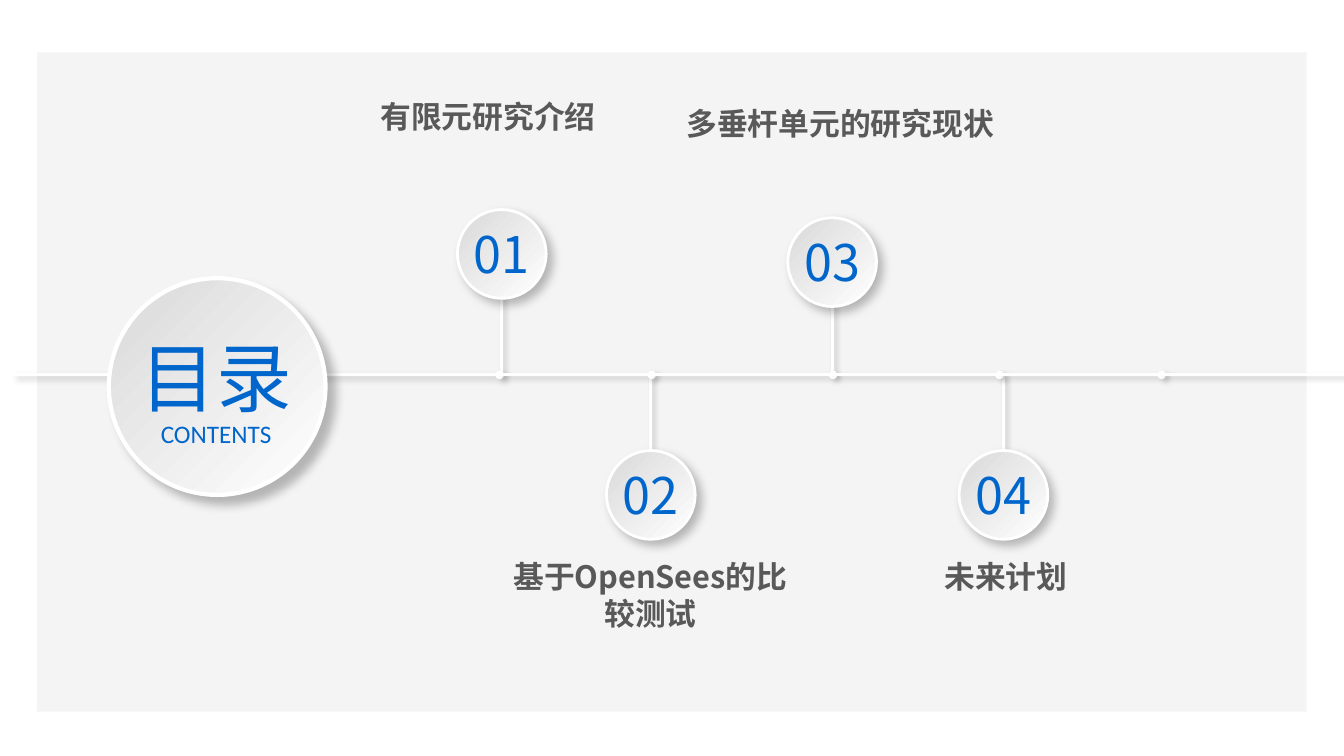
import pptx
import pptx.dml.color
import pptx.enum.shapes
import pptx.enum.text
import pptx.oxml
import pptx.oxml.ns
import pptx.util

Pt = pptx.util.Pt
RGBColor = pptx.dml.color.RGBColor
SHAPE = pptx.enum.shapes.MSO_SHAPE

WHITE = RGBColor(0xFF, 0xFF, 0xFF)
PANEL = RGBColor(0xF2, 0xF2, 0xF2)
SILVER = RGBColor(0xD9, 0xD9, 0xD9)
BLUE = RGBColor(0x00, 0x66, 0xCC)
GREY = RGBColor(0x59, 0x59, 0x59)

CJK = "Noto Sans CJK SC"
NUMBER = {"size": Pt(36), "name": CJK}
TITLE = {"size": Pt(54), "name": CJK}
SUBTITLE = {"size": Pt(18), "name": "Calibri"}
LABEL = {"size": Pt(22), "name": CJK, "bold": True}

# Shadows: opacity in percent, blur, distance
LINE_SHADOW = (20, 4, 3)
BADGE_SHADOW = (25, 7, 5)
HUB_SHADOW = (25, 7, 8)

SLIDE_W, SLIDE_H = 960.48, 540
AXIS_Y = 267.8
AXIS_STOPS = [9.4, 357.1, 465.8, 595.4, 714.2, 830.2, SLIDE_W]
BADGE = 63.4

# Number, badge centre, label, label box
TOPICS = [
    ("01", 358.6, 181.4, "有限元研究介绍", (253.4, 66.2, 190.8, 33.8)),
    ("02", 465.1, 353.5, "基于OpenSees的比较测试", (358.6, 394.6, 212.4, 60.5)),
    ("03", 594.7, 187.2, "多垂杆单元的研究现状", (476.6, 71.3, 247.7, 33.8)),
    ("04", 717.1, 353.5, "未来计划", (605.5, 394.6, 226.8, 33.8)),
]


class Deck:
    def __init__(self, prs):
        self.s = prs.slides.add_slide(prs.slide_layouts[6])

    def xml(self, parent, text):
        ns = pptx.oxml.ns.nsdecls("a")
        parent.append(pptx.oxml.parse_xml(text.replace("/>", f" {ns}/>", 1)
                                          if text.endswith("/>") and text.count("<") == 1
                                          else text.replace(">", f" {ns}>", 1)))

    def shadow(self, sp, opacity, blur, distance):
        """Cast an outer shadow down and to the right."""
        self.xml(sp._element.spPr, (
            f'<a:effectLst><a:outerShdw blurRad="{Pt(blur)}" dist="{Pt(distance)}" '
            f'dir="2700000" algn="tl" rotWithShape="0"><a:srgbClr val="000000">'
            f'<a:alpha val="{opacity * 1000}"/></a:srgbClr></a:outerShdw></a:effectLst>'))

    def panel(self, x, y, w, h, opacity):
        sp = self.s.shapes.add_shape(SHAPE.RECTANGLE, Pt(x), Pt(y), Pt(w), Pt(h))
        sp.shadow.inherit = False
        sp.fill.solid()
        sp.fill.fore_color.rgb = PANEL
        sp.line.fill.background()
        color = sp._element.spPr.xpath("./a:solidFill/a:srgbClr")[0]
        self.xml(color, f'<a:alpha val="{opacity * 1000}"/>')

    def line(self, x1, y1, x2, y2, dot=False):
        kind = pptx.enum.shapes.MSO_CONNECTOR.STRAIGHT
        sp = self.s.shapes.add_connector(kind, Pt(x1), Pt(y1), Pt(x2), Pt(y2))
        sp.line.color.rgb = WHITE
        sp.line.width = Pt(2)
        if dot:
            self.xml(sp.line._get_or_add_ln(), '<a:tailEnd type="oval"/>')
        self.shadow(sp, *LINE_SHADOW)

    def disc(self, cx, cy, d, border, shadow):
        sp = self.s.shapes.add_shape(SHAPE.OVAL, Pt(cx - d / 2), Pt(cy - d / 2), Pt(d), Pt(d))
        sp.fill.gradient()
        sp.fill.gradient_angle = 315
        for stop, color, position in zip(sp.fill.gradient_stops, (SILVER, WHITE), (0, 1)):
            stop.color.rgb = color
            stop.position = position
        sp.line.color.rgb = WHITE
        sp.line.width = Pt(border)
        self.shadow(sp, *shadow)

    def text(self, text, x, y, w, h, font, color):
        sp = self.s.shapes.add_textbox(Pt(x), Pt(y), Pt(w), Pt(h))
        tf = sp.text_frame
        tf.word_wrap = True
        tf.auto_size = pptx.enum.text.MSO_AUTO_SIZE.SHAPE_TO_FIT_TEXT
        p = tf.paragraphs[0]
        p.alignment = pptx.enum.text.PP_ALIGN.CENTER
        r = p.add_run()
        r.text = text
        for key, value in font.items():
            setattr(r.font, key, value)
        r.font.color.rgb = color
        self.xml(r._r.get_or_add_rPr(), f'<a:ea typeface="{font["name"]}"/>')


def main():
    prs = pptx.Presentation()
    prs.slide_width, prs.slide_height = Pt(SLIDE_W), Pt(SLIDE_H)
    deck = Deck(prs)

    deck.panel(26.6, 37.4, 907.2, 470.9, 78)
    for _, cx, cy, _, _ in TOPICS:
        deck.line(cx, AXIS_Y, cx, cy)
    for start, end in zip(AXIS_STOPS, AXIS_STOPS[1:]):
        deck.line(start, AXIS_Y, end, AXIS_Y, dot=end < SLIDE_W)

    deck.disc(155.2, 276.1, 154.8, 3, HUB_SHADOW)
    deck.text("目录", 84.2, 232.6, 140.4, 72.7, TITLE, BLUE)
    deck.text("CONTENTS", 100.1, 295.2, 108.7, 28.8, SUBTITLE, BLUE)

    for number, cx, cy, label, box in TOPICS:
        deck.disc(cx, cy, BADGE, 2, BADGE_SHADOW)
        deck.text(number, cx - 28.8, cy - 25.5, 57.6, 51, NUMBER, BLUE)
        deck.text(label, *box, LABEL, GREY)

    prs.save("out.pptx")


if __name__ == "__main__":
    main()
